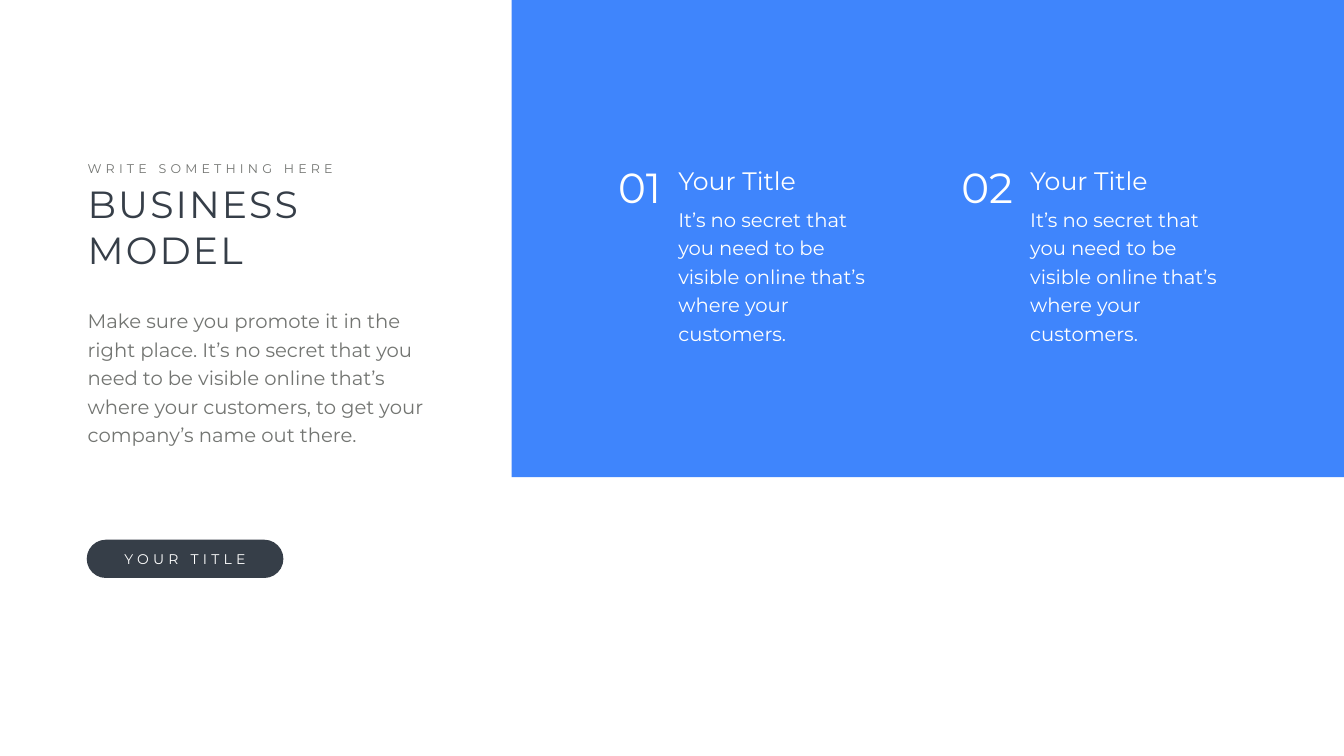
"""Build a business model slide with two numbered points on a blue panel."""
from pptx import Presentation
from pptx.dml.color import RGBColor
from pptx.enum.shapes import MSO_SHAPE
from pptx.enum.text import MSO_AUTO_SIZE, PP_ALIGN
from pptx.util import Cm, Pt

FONT = "Montserrat"
WHITE = RGBColor(0xFF, 0xFF, 0xFF)
GRAY = RGBColor(0x73, 0x75, 0x72)
DARK = RGBColor(0x36, 0x3E, 0x48)
BLUE = RGBColor(0x3F, 0x85, 0xFC)
RECT = MSO_SHAPE.RECTANGLE
ROUND = MSO_SHAPE.ROUNDED_RECTANGLE
GROW = MSO_AUTO_SIZE.SHAPE_TO_FIT_TEXT
LEFT, CENTER, RIGHT = PP_ALIGN.LEFT, PP_ALIGN.CENTER, PP_ALIGN.RIGHT

deck = Presentation()
deck.slide_width = Cm(67.72)
deck.slide_height = Cm(38.1)
slide = deck.slides.add_slide(deck.slide_layouts[6])


def add_text(text, x, y, w, h, size, color, align=LEFT, track=0, pitch=None, wrap=True):
    box = slide.shapes.add_textbox(Cm(x), Cm(y), Cm(w), Cm(h))
    frame = box.text_frame
    frame.text = text
    frame.word_wrap = wrap
    frame.auto_size = GROW
    para = frame.paragraphs[0]
    para.alignment = align
    if pitch:
        para.line_spacing = Pt(pitch)
    run = para.runs[0]
    run.font.name = FONT
    run.font.size = Pt(size)
    run.font.color.rgb = color
    if track:
        run.font._element.set("spc", str(track * 100))


def add_block(kind, x, y, w, h, color):
    block = slide.shapes.add_shape(kind, Cm(x), Cm(y), Cm(w), Cm(h))
    block.shadow.inherit = False
    block.fill.solid()
    block.fill.fore_color.rgb = color
    block.line.fill.background()
    return block


add_text("Make sure you promote it in the right place. It’s no secret that you need to be "
         "visible online that’s where your customers, to get your company’s name out there.",
         4.17, 15.19, 17.53, 7.44, 28, GRAY, pitch=40.8)
add_text("BUSINESS MODEL", 4.17, 8.99, 17.53, 4.88, 54, DARK, track=3)
add_text("WRITE SOMETHING HERE", 4.17, 7.98, 13.16, 1.02, 18, GRAY, track=6, wrap=False)

pill = add_block(ROUND, 4.37, 27.2, 9.91, 1.93, DARK)
pill.adjustments[0] = 0.5
add_text("YOUR TITLE", 5.89, 27.61, 6.86, 1.12, 20, WHITE, CENTER, track=6, wrap=False)

add_block(RECT, 25.78, 0, 41.94, 24.05, BLUE)
for i, num in enumerate(("01", "02")):
    x = 33.93 + i * 17.73
    add_text("It’s no secret that you need to be visible online that’s where your customers.",
             x, 10.08, 10.97, 5.97, 28, WHITE, pitch=40.8)
    add_text("Your Title", x, 8.2, 6.81, 1.8, 36, WHITE)
    add_text(num, x - 4.21, 8, 3.84, 2.82, 60, WHITE, RIGHT)

deck.save("out.pptx")
